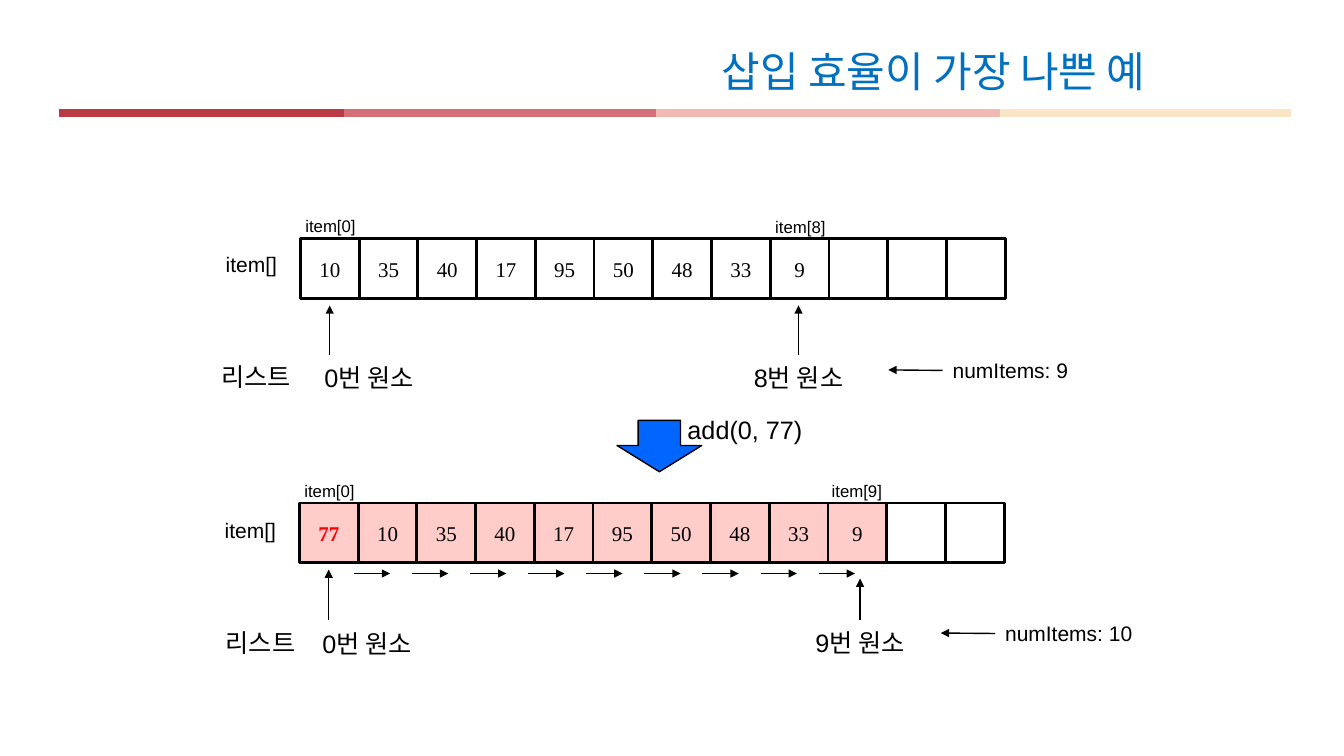
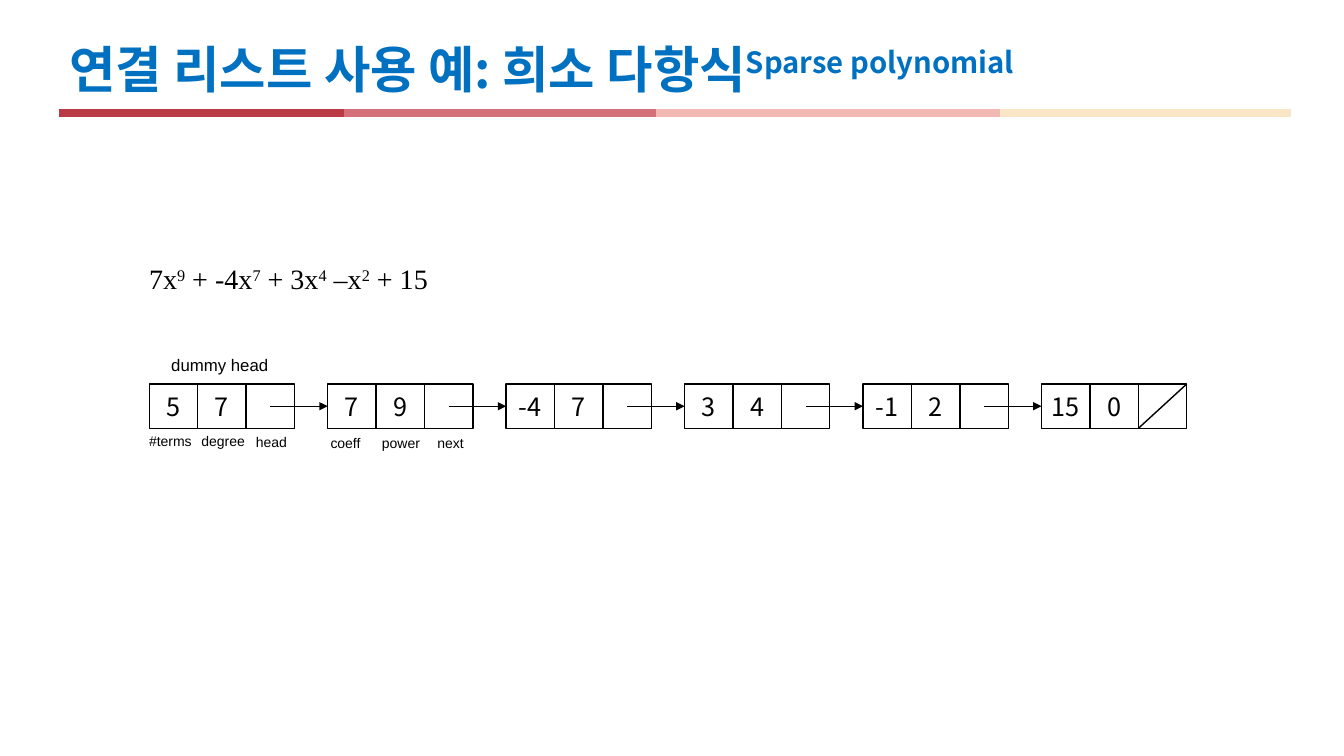
from lxml.etree import SubElement
from pptx import Presentation
from pptx.dml.color import RGBColor
from pptx.enum.shapes import MSO_CONNECTOR, MSO_SHAPE
from pptx.enum.text import MSO_ANCHOR, PP_ALIGN
from pptx.oxml.ns import qn
from pptx.util import Pt

# Shared look
PX = 9144
SLIDE_SIZE = (1333, 750)
BLACK, BLUE, PINK, RED = "000000", "0066FF", "FFCDC9", "FF0000"
GOTHIC = "Noto Sans CJK KR"
LABEL = {"name": "Arial", "color": BLACK}
NUMBER = {"name": "Times New Roman", "size": 15, "color": BLACK}
NODE_VALUE = {"name": GOTHIC, "size": 18, "color": BLACK}
FORMULA = {"name": "Times New Roman", "size": 20, "color": BLACK}
TITLE = {"name": GOTHIC, "color": "0070C0"}
LABEL_HEIGHTS = {10: 27, 12: 30, 15: 35, 18: 40}
BAND_Y = 112
BAND = [(310, 651, "D37079"), (651, 992, "F2B8B4"),
        (992, 1280, "F8E6C7"), (59, 341, "B93945")]

# Slide 1: text runs are (text, is superscript); labels are (text, left, top, width, size)
INSERT_TITLE = [("삽입 효율이 가장 나쁜 예", False)]
CAPACITY, ARRAY_WIDTH, CELL_HEIGHT = 12, 699, 59
ARRAYS = [
    {"left": 298, "top": 237, "fill": None, "inserted": None,
     "items": [10, 35, 40, 17, 95, 50, 48, 33, 9],
     "labels": [("item[]", 214, 245, 72, 15), ("item[0]", 293, 209, 71, 12),
                ("item[8]", 759, 210, 71, 12), ("리스트", 210, 354, 96, 18),
                ("0번 원소", 312, 355, 117, 18), ("8번 원소", 738, 355, 117, 18)],
     "pointers": [(327, 352, 303), (792, 352, 303)],
     "count": ("numItems: 9", 935, 350, 136, 15)},
    {"left": 297, "top": 499, "fill": PINK, "inserted": 0,
     "items": [77, 10, 35, 40, 17, 95, 50, 48, 33, 9],
     "labels": [("item[]", 213, 508, 72, 15), ("item[0]", 292, 472, 71, 12),
                ("item[9]", 815, 472, 71, 12), ("리스트", 214, 617, 96, 18),
                ("0번 원소", 310, 618, 117, 18), ("9번 원소", 799, 617, 117, 18)],
     "pointers": [(326, 615, 565), (853, 615, 574)],
     "count": ("numItems: 10", 987, 611, 148, 15)},
]
COUNT_ARROW = 54
ADD_CALL = ("add(0, 77)", 672, 406, 135, 18)
STEP_ARROW = (612, 417, 84, 51)
SHIFTS = {"count": 9, "first": 351, "last": 812, "length": 36, "y": 569}

# Slide 2
SPARSE_TITLE = [("연결 리스트 사용 예: 희소 다항식", False), ("Sparse polynomial", True)]
POLYNOMIAL = [("7x", False), ("9", True), (" + -4x", False), ("7", True),
              (" + 3x", False), ("4", True), (" –x", False), ("2", True),
              (" + 15", False)]
NODES = [(5, 7), (7, 9), (-4, 7), (3, 4), (-1, 2), (15, 0)]
NODE_LEFT, NODE_TOP, NODE_PITCH, FIELD_WIDTH, FIELD_HEIGHT = 148, 381, 177, 48, 44
FIELD_LABELS = [("dummy head", 160, 347, 117, 12), ("#terms", 138, 424, 62, 10),
                ("degree", 190, 424, 63, 10), ("head", 244, 425, 51, 10),
                ("coeff", 318, 426, 50, 10), ("power", 369, 426, 58, 10),
                ("next", 424, 426, 46, 10)]


def px(*lengths):
    return [round(length * PX) for length in lengths]


def rgb(color):
    return RGBColor.from_string(color)


def write(frame, runs, style, wrap=False, **paragraph_format):
    frame.word_wrap = wrap
    paragraph = frame.paragraphs[0]
    for name, value in paragraph_format.items():
        setattr(paragraph, name, value)
    values = {**style, "size": Pt(style["size"])}
    color = values.pop("color")
    for text, superscript in runs:
        run = paragraph.add_run()
        run.text = text
        run.font.color.rgb = rgb(color)
        for name, value in values.items():
            setattr(run.font, name, value)
        properties = run._r.get_or_add_rPr()
        SubElement(properties, qn("a:ea")).set("typeface", GOTHIC)
        if superscript:
            properties.set("baseline", "30000")


def add_text(slide, box, runs, style, anchor=MSO_ANCHOR.TOP, **options):
    text = slide.shapes.add_textbox(*px(*box))
    text.text_frame.vertical_anchor = anchor
    write(text.text_frame, runs, style, **options)
    return text


def add_label(slide, label):
    text, left, top, width, size = label
    box = (left, top, width, LABEL_HEIGHTS[size])
    return add_text(slide, box, [(text, False)], {**LABEL, "size": size})


def add_outline(slide, preset, box, fill=None, weight=1):
    shape = slide.shapes.add_shape(preset, *px(*box))
    shape.shadow.inherit = False
    if fill:
        shape.fill.solid()
        shape.fill.fore_color.rgb = rgb(fill)
    else:
        shape.fill.background()
    shape.line.color.rgb = rgb(BLACK)
    shape.line.width = Pt(weight)
    return shape


def add_cell(slide, box, value, style, fill=None, weight=1):
    cell = add_outline(slide, MSO_SHAPE.RECTANGLE, box, fill, weight)
    if value is not None:
        cell.text_frame.vertical_anchor = MSO_ANCHOR.MIDDLE
        write(cell.text_frame, [(str(value), False)], style, alignment=PP_ALIGN.CENTER)
    return cell


def add_line(slide, start, end, color=BLACK, weight=1, arrow=False):
    line = slide.shapes.add_connector(MSO_CONNECTOR.STRAIGHT, *px(*start, *end))
    line.line.color.rgb = rgb(color)
    line.line.width = Pt(weight)
    if arrow:
        SubElement(line.line._get_or_add_ln(), qn("a:tailEnd")).set("type", "triangle")
    SubElement(line._element.spPr, qn("a:effectLst"))
    return line


def add_slide(prs, title_box, title, size, bold):
    slide = prs.slides.add_slide(prs.slide_layouts[6])
    for left, right, color in BAND:
        add_line(slide, (left, BAND_Y), (right, BAND_Y), color, 6)
    add_text(slide, title_box, title, {**TITLE, "size": size, "bold": bold},
             MSO_ANCHOR.MIDDLE, wrap=True, line_spacing=0.9)
    return slide


def draw_array(slide, array):
    items = array["items"]
    pitch = ARRAY_WIDTH / CAPACITY
    for index in range(CAPACITY):
        used = index < len(items)
        style = NUMBER
        if index == array["inserted"]:
            style = {**NUMBER, "color": RED, "bold": True}
        box = (array["left"] + index * pitch, array["top"], pitch, CELL_HEIGHT)
        add_cell(slide, box, items[index] if used else None, style,
                 array["fill"] if used else None, 2)
    for label in array["labels"]:
        add_label(slide, label)
    for x, bottom, top in array["pointers"]:
        add_line(slide, (x, bottom), (x, top), arrow=True)
    count = add_label(slide, array["count"])
    _, left, top, _, size = array["count"]
    y = top + LABEL_HEIGHTS[size] // 2
    arrow = add_line(slide, (left, y), (left - COUNT_ARROW, y), arrow=True)
    arrow.begin_connect(count, 1)


def draw_insertion(prs):
    slide = add_slide(prs, (706, 34, 613, 79), INSERT_TITLE, 30, False)
    for array in ARRAYS:
        draw_array(slide, array)
    # Each element moves one place to the right
    pitch = (SHIFTS["last"] - SHIFTS["first"]) / (SHIFTS["count"] - 1)
    for index in range(SHIFTS["count"]):
        x = SHIFTS["first"] + index * pitch
        add_line(slide, (x, SHIFTS["y"]), (x + SHIFTS["length"], SHIFTS["y"]), arrow=True)
    step = add_outline(slide, MSO_SHAPE.DOWN_ARROW, STEP_ARROW, BLUE)
    step.adjustments[1] = 0.51
    add_label(slide, ADD_CALL)


def draw_polynomial(prs):
    slide = add_slide(prs, (59, 32, 1217, 79), SPARSE_TITLE, 36, True)
    add_text(slide, (138, 255, 393, 54), POLYNOMIAL, FORMULA, wrap=True)
    for label in FIELD_LABELS:
        add_label(slide, label)
    # Linked nodes: two values and a pointer field each
    middle = NODE_TOP + FIELD_HEIGHT / 2
    previous_pointer = None
    for index, values in enumerate(NODES):
        left = NODE_LEFT + index * NODE_PITCH
        fields = [add_cell(slide, (left + column * FIELD_WIDTH, NODE_TOP,
                                   FIELD_WIDTH, FIELD_HEIGHT), value, NODE_VALUE)
                  for column, value in enumerate((*values, None))]
        if previous_pointer is not None:
            link = add_line(slide, (previous_pointer, middle), (left, middle), arrow=True)
            link.end_connect(fields[0], 1)
        previous_pointer = left + 2.5 * FIELD_WIDTH
    # Null pointer of the last node
    null_left = left + 2 * FIELD_WIDTH
    add_line(slide, (null_left, NODE_TOP + FIELD_HEIGHT),
             (null_left + FIELD_WIDTH, NODE_TOP))


def main():
    prs = Presentation()
    prs.slide_width, prs.slide_height = px(*SLIDE_SIZE)
    draw_insertion(prs)
    draw_polynomial(prs)
    prs.save("out.pptx")


if __name__ == "__main__":
    main()
